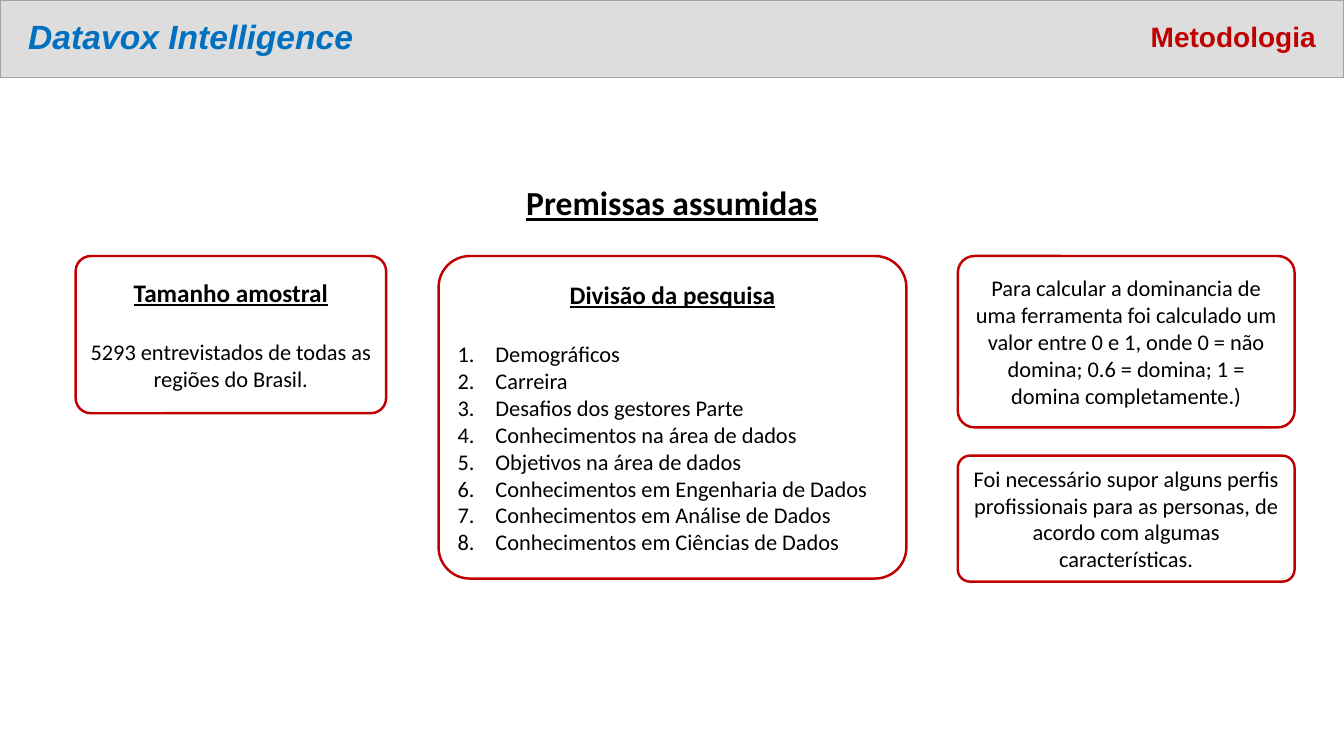
from lxml import etree
from pptx import Presentation
from pptx.dml.color import RGBColor
from pptx.enum.shapes import MSO_SHAPE as SHAPE
from pptx.enum.text import MSO_ANCHOR as ANCHOR, MSO_AUTO_SIZE as AUTO, PP_ALIGN as ALIGN
from pptx.oxml.ns import qn
from pptx.util import Inches, Pt

COLORS = {"band": "DDDDDD", "edge": "A3A3A3", "blue": "0070C0",
          "red": "C00000", "white": "FFFFFF", "black": "000000"}
BRAND = dict(size=Pt(24), name="Arial", bold=True, italic=True)
SECTION = dict(size=Pt(20), name="Arial", bold=True)
HEADING = dict(size=Pt(24), name="Calibri", bold=True, underline=True)
CARD_TITLE = dict(HEADING, size=Pt(18))
BODY = dict(size=Pt(16), name="Calibri")

WIDTH, BAND_H = 13.33, 0.77
CARD_TOP, CARD_GAP = 2.54, 0.28
RIGHT_X, RIGHT_W = 9.5, 3.34
TOPICS = ["Demográficos", "Carreira", "Desafios dos gestores Parte",
          "Conhecimentos na área de dados", "Objetivos na área de dados",
          "Conhecimentos em Engenharia de Dados",
          "Conhecimentos em Análise de Dados",
          "Conhecimentos em Ciências de Dados"]
SAMPLE = "5293 entrevistados de todas as regiões do Brasil."
RIGHT_CARDS = [
    (1.7, "Para calcular a dominancia de uma ferramenta foi calculado um valor "
          "entre 0 e 1, onde 0 = não domina; 0.6 = domina; 1 = domina completamente.)"),
    (1.25, "Foi necessário supor alguns perfis profissionais para as personas, "
           "de acordo com algumas características."),
]


def rgb(name):
    """Return the named palette colour."""
    return RGBColor.from_string(COLORS[name])


def write(p, text, fmt, color="black", align=ALIGN.CENTER):
    """Write one formatted run into a paragraph."""
    p.alignment = align
    r = p.add_run()
    r.text = text
    for key, value in fmt.items():
        setattr(r.font, key, value)
    r.font.color.rgb = rgb(color)


def number(p):
    """Give a paragraph automatic numbering with a hanging indent."""
    pPr = p._p.get_or_add_pPr()
    pPr.set("marL", str(Inches(0.375)))
    pPr.set("indent", str(-Inches(0.375)))
    etree.SubElement(pPr, qn("a:buFont"), typeface="+mj-lt")
    etree.SubElement(pPr, qn("a:buAutoNum"), type="arabicPeriod")


def add_box(s, kind, box, fill, line, width):
    """Add a filled and outlined shape without shadow."""
    sp = s.shapes.add_shape(kind, *map(Inches, box))
    sp.shadow.inherit = False
    sp.fill.solid()
    sp.fill.fore_color.rgb = rgb(fill)
    sp.line.color.rgb = rgb(line)
    sp.line.width = Pt(width)
    return sp


def add_header(s, box, brand, section):
    """Build the band with the title at left and the section name at right."""
    x, y, w, h = box
    add_box(s, SHAPE.RECTANGLE, box, "band", "edge", 1)
    label_w, margin, inset = 3.52, 0.18, 0.08
    title = s.shapes.title
    s.shapes._spTree.append(title._element)
    place = dict(left=Inches(x + margin), top=Inches(y + inset),
                 width=Inches(label_w), height=Inches(h - 2 * inset))
    for key, value in place.items():
        setattr(title, key, value)
    right = s.shapes.add_textbox(Inches(x + w - margin - label_w), place["top"],
                                 place["width"], place["height"])
    for sp, text, fmt, color, align in (
            (title, brand, BRAND, "blue", ALIGN.LEFT),
            (right, section, SECTION, "red", ALIGN.RIGHT)):
        tf = sp.text_frame
        for key, value in dict(word_wrap=True, auto_size=AUTO.NONE,
                               vertical_anchor=ANCHOR.MIDDLE).items():
            setattr(tf, key, value)
        p = tf.paragraphs[0]
        p.line_spacing = 0.9
        write(p, text, fmt, color, align)


def add_heading(s, box, text):
    """Add the centred heading above the cards."""
    tf = s.shapes.add_textbox(*map(Inches, box)).text_frame
    tf.word_wrap = True
    write(tf.paragraphs[0], text, HEADING)


def add_card(s, box, lines, title=None, numbered=False):
    """Add a rounded card with an optional title and centred or numbered lines."""
    sp = add_box(s, SHAPE.ROUNDED_RECTANGLE, box, "white", "red", 1.75)
    sp.adjustments[0] = 0.097
    tf = sp.text_frame
    tf.word_wrap = True
    tf.vertical_anchor = ANCHOR.MIDDLE
    p = tf.paragraphs[0]
    if title:
        write(p, title, CARD_TITLE)
        p.space_after = Pt(22)
        p = tf.add_paragraph()
    for i, text in enumerate(lines):
        p = tf.add_paragraph() if i else p
        write(p, text, BODY, align=ALIGN.LEFT if numbered else ALIGN.CENTER)
        if numbered:
            number(p)


def main():
    """Build and save the slide."""
    prs = Presentation()
    prs.slide_width, prs.slide_height = Inches(WIDTH), Inches(7.5)
    s = prs.slides.add_slide(prs.slide_layouts[5])
    add_header(s, (0, 0, WIDTH, BAND_H), "Datavox Intelligence", "Metodologia")
    add_heading(s, (0, 1.76, WIDTH, 0.5), "Premissas assumidas")
    add_card(s, (0.75, CARD_TOP, 3.08, 1.56), [SAMPLE], "Tamanho amostral")
    add_card(s, (4.35, CARD_TOP, 4.64, 3.2), TOPICS, "Divisão da pesquisa", True)
    y = CARD_TOP
    for h, text in RIGHT_CARDS:
        add_card(s, (RIGHT_X, y, RIGHT_W, h), [text])
        y += h + CARD_GAP
    prs.save("out.pptx")


if __name__ == "__main__":
    main()
